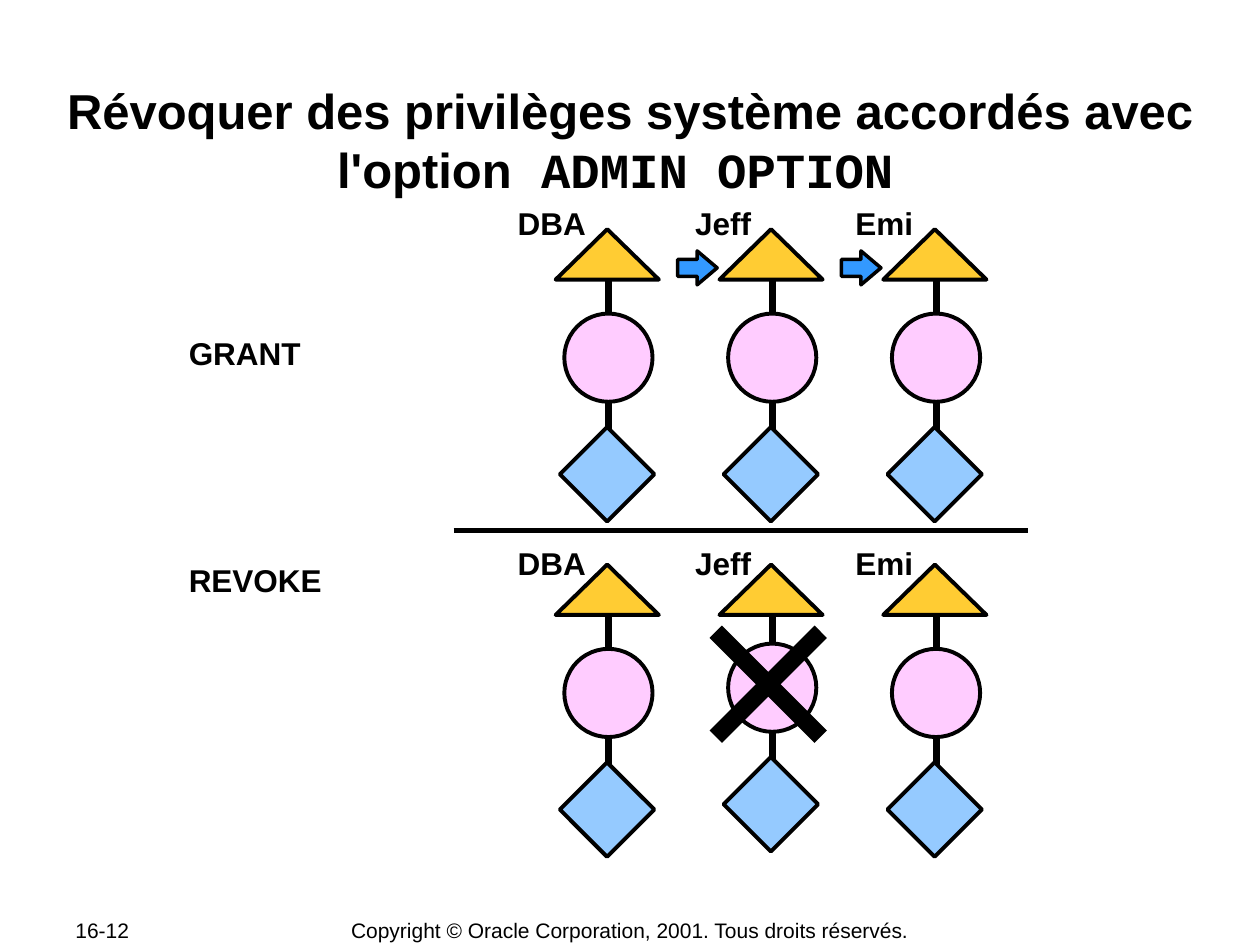
from lxml.etree import SubElement
from pptx import Presentation
from pptx.dml.color import RGBColor
from pptx.enum.shapes import MSO_CONNECTOR, MSO_SHAPE
from pptx.enum.text import MSO_ANCHOR, MSO_AUTO_SIZE, PP_ALIGN
from pptx.oxml.ns import qn
from pptx.util import Pt

BLACK, YELLOW, PINK = "000000", "FFCC33", "FFCCFF"
LIGHT_BLUE, BLUE = "95CAFF", "3399FF"
FIRST_USER_LEFT, USER_PITCH = 317.5, 93.6
USERS = (("DBA", 288.7, 55.5), ("Jeff", 390.2, 47), ("Emi", 481.7, 48.5))


def color(value):
    """Return the colour of a hex string."""
    return RGBColor.from_string(value)


def write(paragraph, text, size=18, bold=False, font="Arial"):
    """Add a formatted run to a paragraph."""
    run = paragraph.add_run()
    run.text = text
    run.font.name = font
    run.font.size = Pt(size)
    run.font.bold = bold
    run.font.color.rgb = color(BLACK)


def add_text(slide, box, text, align=PP_ALIGN.LEFT, anchor=MSO_ANCHOR.TOP, **style):
    """Add a text box with one formatted paragraph."""
    frame = slide.shapes.add_textbox(*map(Pt, box)).text_frame
    frame.word_wrap = True
    frame.vertical_anchor = anchor
    frame.paragraphs[0].alignment = align
    write(frame.paragraphs[0], text, **style)


def add_line(slide, start, end, width):
    """Add a straight black line without shadow."""
    line = slide.shapes.add_connector(
        MSO_CONNECTOR.STRAIGHT, *map(Pt, (*start, *end)))
    line.line.color.rgb = color(BLACK)
    line.line.width = Pt(width)
    SubElement(line._element.spPr, qn("a:effectLst"))


def add_figure(slide, kind, box, fill, line_width=2.25):
    """Add a filled preset shape with a black outline."""
    shape = slide.shapes.add_shape(kind, *map(Pt, box))
    shape.shadow.inherit = False
    shape.fill.solid()
    shape.fill.fore_color.rgb = color(fill)
    shape.line.color.rgb = color(BLACK)
    shape.line.width = Pt(line_width)
    return shape


def add_title(slide, box):
    """Place the two-font title."""
    title = slide.shapes.title
    title.left, title.top, title.width, title.height = map(Pt, box)
    frame = title.text_frame
    frame.margin_left = frame.margin_right = Pt(0.72)
    frame.margin_top = frame.margin_bottom = Pt(0.72)
    frame.word_wrap = True
    frame.auto_size = MSO_AUTO_SIZE.NONE
    frame.vertical_anchor = MSO_ANCHOR.TOP
    paragraph = frame.paragraphs[0]
    paragraph.alignment = PP_ALIGN.CENTER
    paragraph.line_spacing = 1.0
    paragraph.space_before = Pt(0)
    write(paragraph, "Révoquer des privilèges système accordés avec l'option",
          size=28, bold=True)
    write(paragraph, " ADMIN OPTION ", size=28, bold=True, font="Courier New")


def add_user(slide, left, top, lift=0):
    """Stack a triangle, circle and diamond on a stem, lower parts lifted."""
    stem = left + 30.3
    add_line(slide, (stem, top + 13.7 - lift), (stem, top + 131.8 - lift), 4)
    add_figure(slide, MSO_SHAPE.ISOSCELES_TRIANGLE, (left, top, 59, 28.8), YELLOW)
    add_figure(slide, MSO_SHAPE.OVAL,
               (left + 5, top + 48.2 - lift, 50.4, 50.4), PINK)
    add_figure(slide, MSO_SHAPE.DIAMOND,
               (left + 2.4, top + 113 - lift, 54, 54), LIGHT_BLUE)


def add_users(slide, top, label_top, lifts=(0, 0, 0)):
    """Place the row of named users."""
    for index, ((name, label_left, width), lift) in enumerate(zip(USERS, lifts)):
        add_user(slide, FIRST_USER_LEFT + index * USER_PITCH, top, lift)
        add_text(slide, (label_left, label_top, width, 28.8), name, bold=True)


def add_grant_arrows(slide, left, top):
    """Place an arrow between each pair of neighbouring users."""
    for index in range(len(USERS) - 1):
        arrow = add_figure(slide, MSO_SHAPE.RIGHT_ARROW,
                           (left + index * USER_PITCH, top, 22.6, 19.4), BLUE, 2)
        arrow.adjustments[1] = 0.59


def add_cross(slide, left, top, size):
    """Cross out a square region."""
    right, bottom = left + size, top + size
    add_line(slide, (left, top), (right, bottom), 10)
    add_line(slide, (right, top), (left, bottom), 10)


def add_footer(slide, top, height):
    """Place the page number and the copyright line."""
    style = {"anchor": MSO_ANCHOR.MIDDLE, "size": 12}
    add_text(slide, (36, top, 76, height), "16-12", **style)
    add_text(slide, (180, top, 360, height),
             "Copyright © Oracle Corporation, 2001. Tous droits réservés.",
             align=PP_ALIGN.CENTER, **style)


def main():
    """Build and save the slide."""
    presentation = Presentation()
    presentation.slide_width, presentation.slide_height = Pt(720), Pt(540)
    slide = presentation.slides.add_slide(presentation.slide_layouts[5])
    add_title(slide, (0, 45.3, 720, 69))
    add_text(slide, (100.8, 187.2, 100, 28.8), "GRANT", bold=True)
    add_users(slide, 131, 113)
    add_grant_arrows(slide, 387.2, 143.4)
    add_line(slide, (259.2, 303), (587.5, 303), 3)
    add_text(slide, (100.8, 316.8, 100, 28.8), "REVOKE", bold=True)
    add_users(slide, 322.6, 307.4, lifts=(0, 3, 0))
    add_cross(slide, 409, 361, 60)
    add_footer(slide, 524.2, 14.8)
    presentation.save("out.pptx")


if __name__ == "__main__":
    main()
